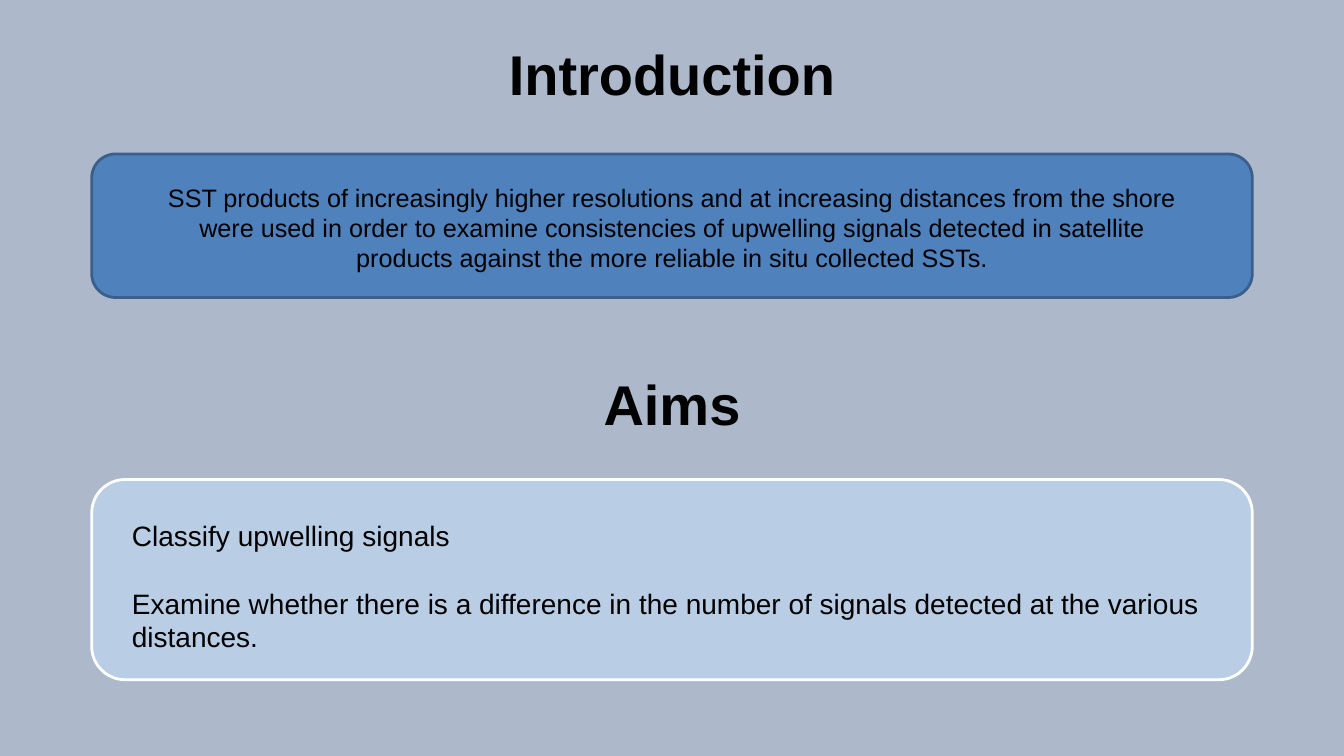
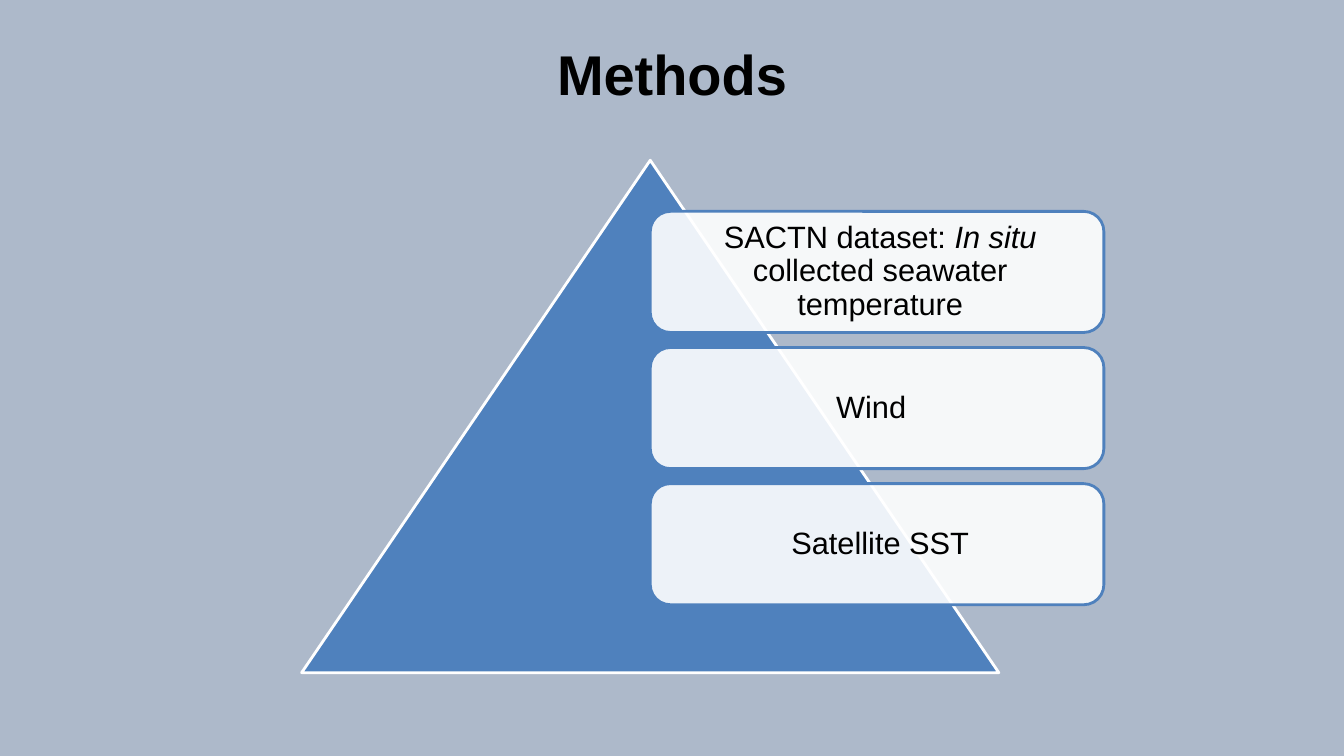
"""Build two slides on upwelling signals: introduction with aims, and methods."""
from lxml.etree import SubElement
from pptx import Presentation
from pptx.dml.color import RGBColor
from pptx.enum.shapes import MSO_SHAPE
from pptx.enum.text import MSO_ANCHOR, MSO_AUTO_SIZE, PP_ALIGN
from pptx.oxml.ns import qn
from pptx.util import Pt

BLUE = "4F81BD"
WHITE = "FFFFFF"
BLACK = "000000"


def format_text(text_frame, size, bold=False, align=PP_ALIGN.CENTER):
    text_frame.word_wrap = True
    text_frame.auto_size = MSO_AUTO_SIZE.NONE
    for paragraph in text_frame.paragraphs:
        paragraph.alignment = align
        for run in paragraph.runs:
            run.font.name = "Arial"
            run.font.size = Pt(size)
            run.font.bold = bold
            run.font.color.rgb = RGBColor.from_string(BLACK)


def add_panel(slide, preset, left, top, width, height, fill, line):
    shape = slide.shapes.add_shape(preset, Pt(left), Pt(top), Pt(width), Pt(height))
    shape.shadow.inherit = False
    shape.fill.solid()
    shape.fill.fore_color.rgb = RGBColor.from_string(fill)
    shape.line.color.rgb = RGBColor.from_string(line)
    shape.line.width = Pt(2)
    return shape


presentation = Presentation()
presentation.slide_width = Pt(960)
presentation.slide_height = Pt(540)
master = presentation.slide_master
master.background.fill.solid()
master.background.fill.fore_color.rgb = RGBColor.from_string("ADB9CA")

slides = []
for title, layout_name in (("Introduction", "Title and Content"), ("Methods", "Title Only")):
    slide = presentation.slides.add_slide(presentation.slide_layouts.get_by_name(layout_name))
    heading = slide.shapes.title
    heading.left, heading.top, heading.width, heading.height = Pt(335.5), Pt(24.5), Pt(289), Pt(55)
    heading.text_frame.text = title
    format_text(heading.text_frame, 40, bold=True)
    slides.append(slide)
introduction, methods = slides

summary = add_panel(introduction, MSO_SHAPE.ROUNDED_RECTANGLE, 65.5, 110, 829, 102.5, BLUE, "3A5F8B")
summary.text_frame.text = (
    "SST products of increasingly higher resolutions and at increasing distances from the shore "
    "were used in order to examine consistencies of upwelling signals detected in satellite "
    "products against the more reliable in situ collected SSTs."
)
summary.text_frame.vertical_anchor = MSO_ANCHOR.TOP
summary.text_frame.margin_left = summary.text_frame.margin_right = Pt(40)
summary.text_frame.margin_top = Pt(15)
format_text(summary.text_frame, 18)

aims_heading = introduction.shapes.add_textbox(Pt(65.5), Pt(260.5), Pt(829), Pt(63))
aims_heading.text_frame.text = "Aims"
format_text(aims_heading.text_frame, 40, bold=True)

aims_panel = add_panel(introduction, MSO_SHAPE.ROUNDED_RECTANGLE, 65.5, 342.5, 829, 143, "B9CDE5", WHITE)
aims = introduction.placeholders[1]
aims_panel.element.addnext(aims.element)
aims.left, aims.top, aims.width, aims.height = Pt(87), Pt(367), Pt(793), Pt(106)
aims.text_frame.text = (
    "Classify upwelling signals\n"
    "Examine whether there is a difference in the number of signals detected at the various distances."
)
format_text(aims.text_frame, 20, align=PP_ALIGN.LEFT)
for paragraph, gap in zip(aims.text_frame.paragraphs, (0, 24)):
    paragraph.space_before = Pt(gap)
    properties = paragraph._p.get_or_add_pPr()
    properties.set("marL", "0")
    properties.set("indent", "0")
    SubElement(properties, qn("a:buNone"))

add_panel(methods, MSO_SHAPE.ISOSCELES_TRIANGLE, 215.5, 114.5, 498, 366, BLUE, WHITE)
datasets = (
    ((("SACTN dataset:", False), (" In situ ", True), ("collected seawater temperature", False)), 6.5),
    ((("Wind", False),), 19.5),
    ((("Satellite SST", False),), 6.5),
)
for index, (parts, margin_right) in enumerate(datasets):
    card = add_panel(
        methods, MSO_SHAPE.ROUNDED_RECTANGLE, 464.5, 151 + index * 97.25, 324, 86.5, WHITE, BLUE
    )
    color = card.fill._xPr.find(qn("a:solidFill")).find(qn("a:srgbClr"))
    SubElement(color, qn("a:alpha"), val="90000")
    text_frame = card.text_frame
    text_frame.vertical_anchor = MSO_ANCHOR.MIDDLE
    text_frame.margin_left = text_frame.margin_top = text_frame.margin_bottom = Pt(11)
    text_frame.margin_right = Pt(margin_right)
    paragraph = text_frame.paragraphs[0]
    paragraph.line_spacing = 0.9
    paragraph.space_after = Pt(7.7)
    for text, italic in parts:
        run = paragraph.add_run()
        run.text = text
        run.font.italic = italic
    format_text(text_frame, 22)

presentation.save("out.pptx")
